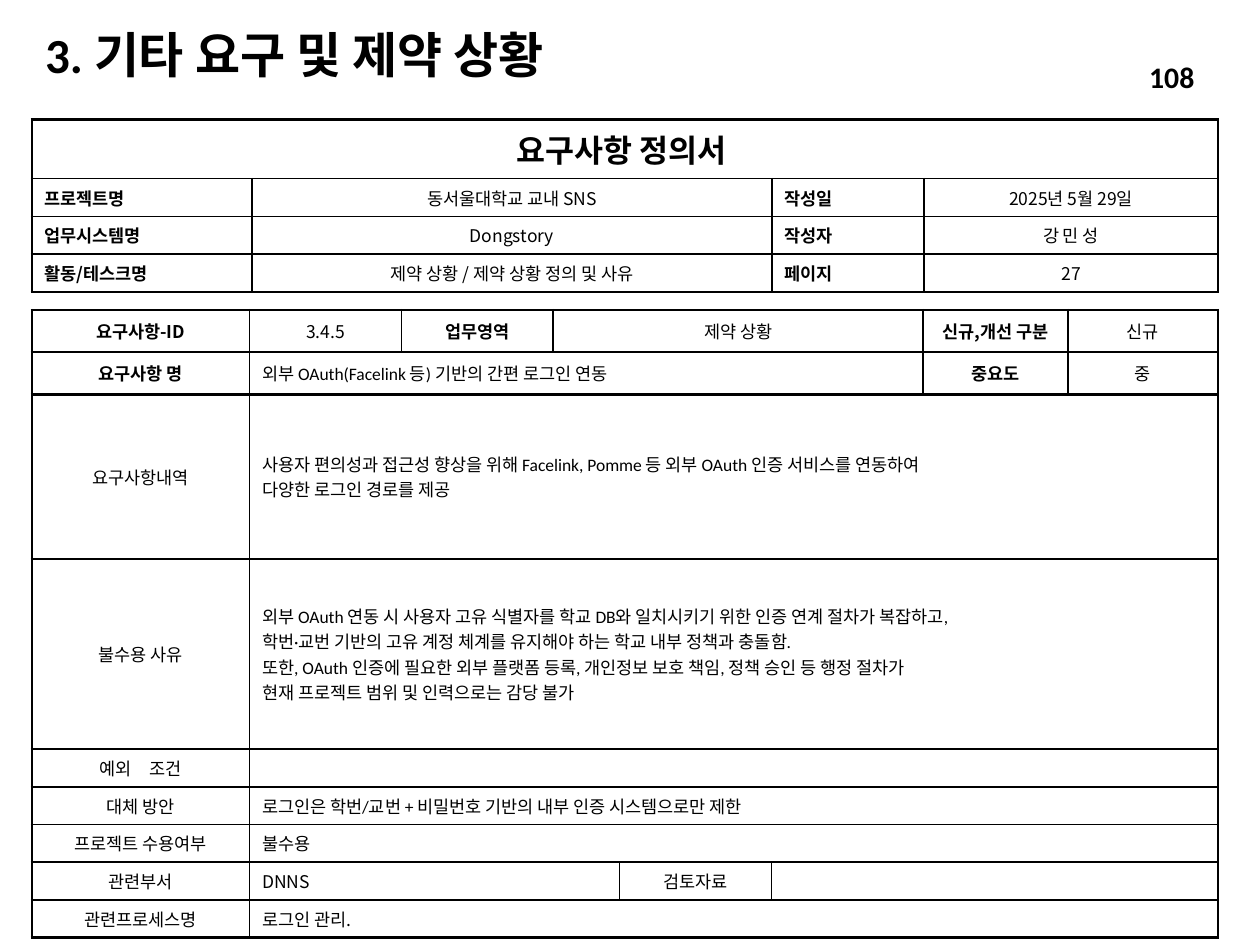
"""Build the requirement definition slide with its header table and detail table."""
from dataclasses import dataclass

import pptx
import pptx.dml.color
import pptx.enum.text
import pptx.oxml
import pptx.oxml.ns
import pptx.util
from pptx.util import Cm, Pt

SANS, LATIN, BLACK = "Noto Sans CJK KR", "Calibri", "000000"
ALIGN = pptx.enum.text.PP_ALIGN
MIDDLE = pptx.enum.text.MSO_ANCHOR.MIDDLE


@dataclass
class Entry:
    text: str = ""
    span: int = 1
    align: ALIGN = ALIGN.CENTER
    bold: bool = False
    font: str = SANS
    size: float = 10


@dataclass
class Grid:
    top: float
    cols: list[float]
    heights: list[float]
    rows: list[list[Entry]]
    heavy_lines: set[int]


def rgb(value: str) -> pptx.dml.color.RGBColor:
    return pptx.dml.color.RGBColor.from_string(value)


def write(tf, e: Entry) -> None:
    tf.text = e.text
    for p in tf.paragraphs:
        p.alignment = e.align
        p.font.name, p.font.size, p.font.bold = e.font, Pt(e.size), e.bold
        p.font.color.rgb = rgb(BLACK)
        if not e.text:
            end = pptx.oxml.parse_xml(f'<a:endParaRPr {pptx.oxml.ns.nsdecls("a")} sz="{int(e.size * 100)}"/>')
            p._p.append(end)


def add_text(s, left: float, top: float, width: float, height: float, e: Entry) -> None:
    tf = s.shapes.add_textbox(Cm(left), Cm(top), Cm(width), Cm(height)).text_frame
    tf.word_wrap, tf.vertical_anchor = True, MIDDLE
    write(tf, e)


def add_border(cell, side: str, heavy: bool) -> None:
    width = Pt(1.5 if heavy else 1)
    cell._tc.get_or_add_tcPr().append(pptx.oxml.parse_xml(
        f'<a:ln{side} {pptx.oxml.ns.nsdecls("a")} w="{width}"><a:solidFill>'
        f'<a:srgbClr val="{BLACK}"/></a:solidFill></a:ln{side}>'))


def add_grid(s, grid: Grid) -> None:
    n_rows, n_cols = len(grid.heights), len(grid.cols)
    table = s.shapes.add_table(n_rows, n_cols, Cm(0.64), Cm(grid.top),
                               Cm(sum(grid.cols)), Cm(sum(grid.heights))).table
    table.first_row = table.horz_banding = False
    for column, width in zip(table.columns, grid.cols):
        column.width = Cm(width)
    for i, (row, height) in enumerate(zip(grid.rows, grid.heights)):
        table.rows[i].height = Cm(height)
        j = 0
        for e in row:
            end = j + e.span
            for k in range(j, end):
                cell = table.cell(i, k)
                add_border(cell, "L", k == 0)
                add_border(cell, "R", end == n_cols)
                add_border(cell, "T", i in grid.heavy_lines)
                add_border(cell, "B", i + 1 in grid.heavy_lines)
                cell.fill.background()
            cell = table.cell(i, j)
            if e.span > 1:
                cell.merge(table.cell(i, end - 1))
            cell.vertical_anchor = MIDDLE
            write(cell.text_frame, e)
            j = end


def head(text: str) -> Entry:
    return Entry(text, bold=True)


def field(text: str) -> Entry:
    return Entry(text, align=ALIGN.JUSTIFY, bold=True)


def body(text: str, span: int = 7, font: str = LATIN) -> Entry:
    return Entry(text, span, ALIGN.LEFT, font=font)


HEADER = Grid(2.41, [4.44, 10.48, 3.07, 5.92], [1.19] + [0.76] * 3, [
    [Entry("요구사항 정의서 ", 4, bold=True, size=18)],
    [field("프로젝트명"), Entry("동서울대학교 교내 SNS"), field("작성일"), Entry("2025년 5월 29일")],
    [field("업무시스템명 "), Entry("Dongstory"), field("작성자"), Entry("강 민 성")],
    [field("활동/테스크명"), Entry("제약 상황 / 제약 상황 정의 및 사유"), field("페이지"), Entry("27")],
], {0, 4})

DETAIL = Grid(6.25, [4.39, 3.06, 3.06, 1.34, 3.06, 3.06, 2.92, 3.02],
              [0.85, 0.85, 3.32, 3.83] + [0.76] * 5, [
    [head("요구사항-ID"), Entry("3.4.5"), head("업무영역"), Entry("제약 상황", 3),
     head("신규,개선 구분"), Entry("신규")],
    [head("요구사항 명"), body("외부 OAuth(Facelink 등) 기반의 간편 로그인 연동", 5),
     head("중요도"), Entry("중")],
    [Entry("요구사항내역"),
     body("사용자 편의성과 접근성 향상을 위해 Facelink, Pomme 등 외부 OAuth 인증 서비스를 연동하여\v"
          "다양한 로그인 경로를 제공")],
    [Entry("불수용 사유"),
     body("외부 OAuth 연동 시 사용자 고유 식별자를 학교 DB와 일치시키기 위한 인증 연계 절차가 복잡하고,\v"
          "학번·교번 기반의 고유 계정 체계를 유지해야 하는 학교 내부 정책과 충돌함.\n"
          "또한, OAuth 인증에 필요한 외부 플랫폼 등록, 개인정보 보호 책임, 정책 승인 등 행정 절차가\v"
          "현재 프로젝트 범위 및 인력으로는 감당 불가")],
    [Entry("예외　조건"), body("")],
    [Entry("대체 방안"), body("로그인은 학번/교번 + 비밀번호 기반의 내부 인증 시스템으로만 제한")],
    [Entry("프로젝트 수용여부"), body("불수용", font=SANS)],
    [Entry("관련부서"), body("DNNS", 3, SANS), Entry("검토자료"), body("", 3)],
    [Entry("관련프로세스명"), body("로그인 관리.", font=SANS)],
], {0, 1, 2, 9})


def main() -> None:
    prs = pptx.Presentation()
    prs.slide_width, prs.slide_height = Cm(25.4), Cm(19.05)
    s = prs.slides.add_slide(prs.slide_layouts[6])
    add_text(s, 0.66, 0.53, 13.61, 1.12,
             Entry("3. 기타 요구 및 제약 상황", align=ALIGN.LEFT, bold=True, font=LATIN, size=28))
    add_grid(s, DETAIL)
    add_grid(s, HEADER)
    add_text(s, 20.22, 1.04, 4.11, 1.02,
             Entry("108", align=ALIGN.RIGHT, bold=True, font=LATIN, size=17))
    prs.save("out.pptx")


if __name__ == "__main__":
    main()
